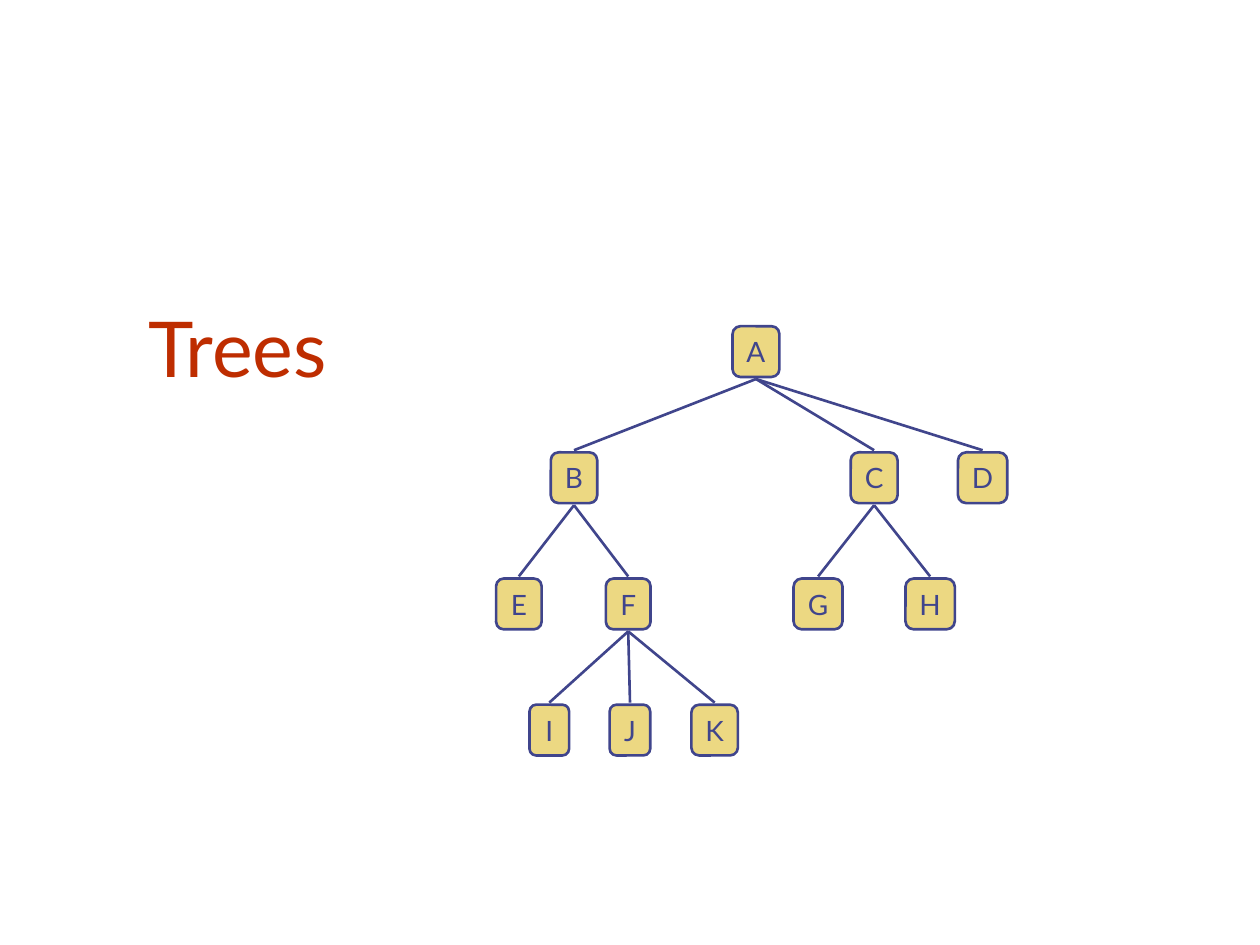
from lxml.etree import SubElement
from pptx import Presentation
from pptx.dml.color import RGBColor
from pptx.enum.shapes import MSO_CONNECTOR as Connector, MSO_SHAPE as Shape
from pptx.enum.text import MSO_ANCHOR as Anchor, MSO_AUTO_SIZE as AutoSize, PP_ALIGN as Align
from pptx.oxml.ns import qn
from pptx.util import Pt

INK, FILL, RED = "40458C", "ECD882", "BE2D00"


def color(value):
    return RGBColor.from_string(value)


def write(shape, text, size, ink, align, anchor, wrap):
    frame = shape.text_frame
    frame.text = text
    frame.auto_size = AutoSize.NONE
    frame.word_wrap = wrap
    frame.vertical_anchor = anchor
    para = frame.paragraphs[0]
    para.alignment = align
    font = para.runs[0].font
    font.name, font.size = "Lato", Pt(size)
    font.color.rgb = color(ink)


deck = Presentation()
deck.slide_width, deck.slide_height = Pt(720), Pt(540)
page = deck.slides.add_slide(deck.slide_layouts[0])

# Title
subtitle = page.placeholders[1].element
subtitle.getparent().remove(subtitle)
title = page.shapes.title
title.left, title.top, title.width, title.height = Pt(77.8), Pt(138.2), Pt(612), Pt(90)
write(title, "Trees", size=44, ink=RED, align=Align.LEFT, anchor=Anchor.BOTTOM, wrap=True)

# Tree: name -> (parent, level, centre x, width)
nodes = {
    "A": (None, 0, 432, 26.8),
    "B": ("A", 1, 328, 26.5),
    "C": ("A", 1, 499.5, 26.8),
    "D": ("A", 1, 561.5, 28.2),
    "E": ("B", 2, 296.5, 26),
    "F": ("B", 2, 359, 25.5),
    "G": ("C", 2, 467.5, 28),
    "H": ("C", 2, 531.5, 28.2),
    "I": ("F", 3, 313.9, 22.6),
    "J": ("F", 3, 360, 23.2),
    "K": ("F", 3, 408.4, 26.6),
}
ROOT_TOP, LEVEL_STEP, NODE_HEIGHT, GAP = 186.4, 72.1, 29, 1.2

for name, (parent, level, center, width) in nodes.items():
    top = ROOT_TOP + level * LEVEL_STEP

    # Edge from the parent's bottom to this node's top
    if parent:
        parent_bottom = top - LEVEL_STEP + NODE_HEIGHT
        edge = page.shapes.add_connector(
            Connector.STRAIGHT, Pt(nodes[parent][2]), Pt(parent_bottom + GAP),
            Pt(center), Pt(top - GAP))
        edge.line.color.rgb = color(INK)
        edge.line.width = Pt(1.5)
        SubElement(edge.element.spPr, qn("a:effectLst"))

    # Node
    box = page.shapes.add_shape(
        Shape.ROUNDED_RECTANGLE, Pt(center - width / 2), Pt(top), Pt(width), Pt(NODE_HEIGHT))
    box.shadow.inherit = False
    box.fill.solid()
    box.fill.fore_color.rgb = color(FILL)
    box.line.color.rgb = color(INK)
    box.line.width = Pt(1.5)
    write(box, name, size=16, ink=INK, align=Align.CENTER, anchor=Anchor.MIDDLE, wrap=False)

deck.save("out.pptx")
